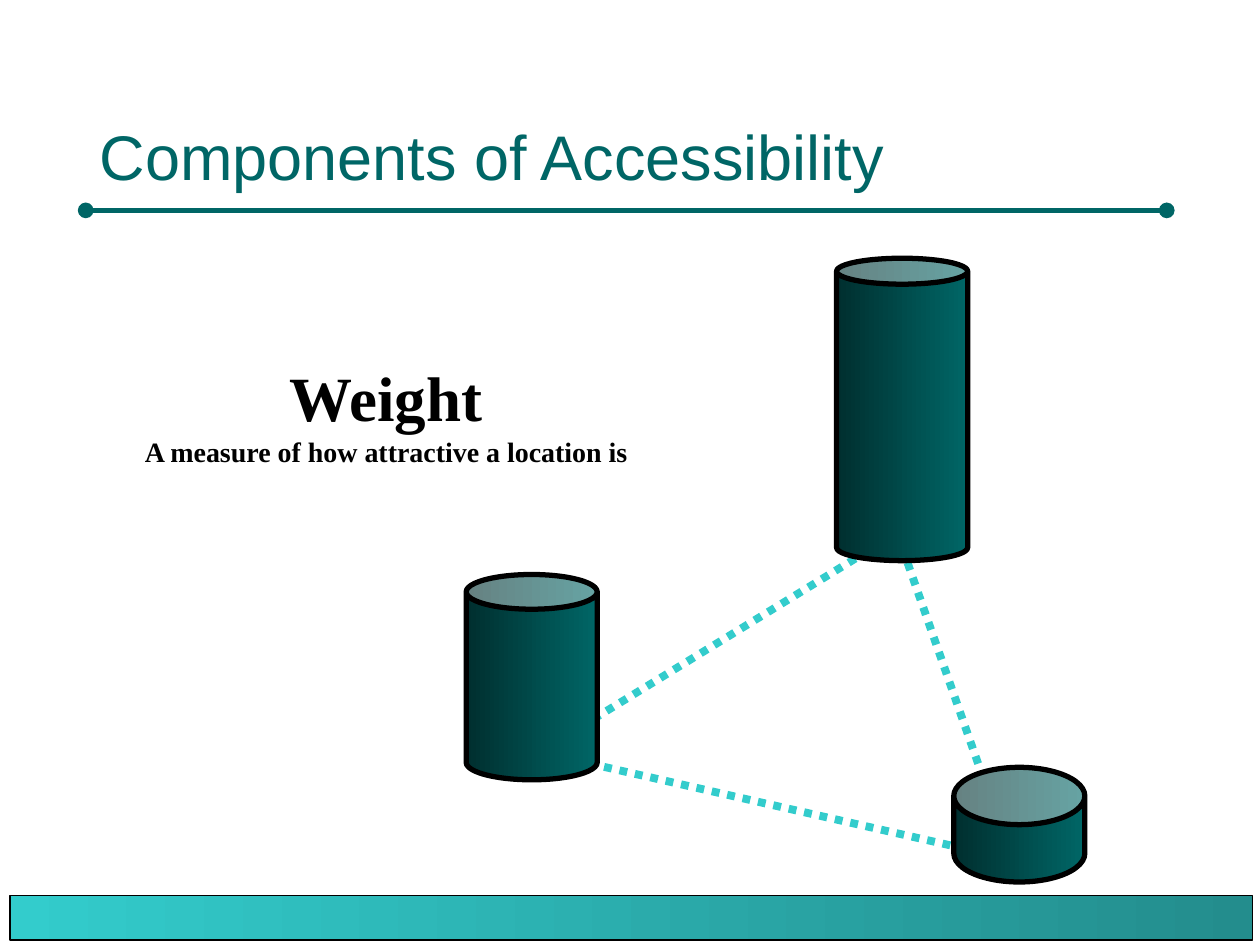
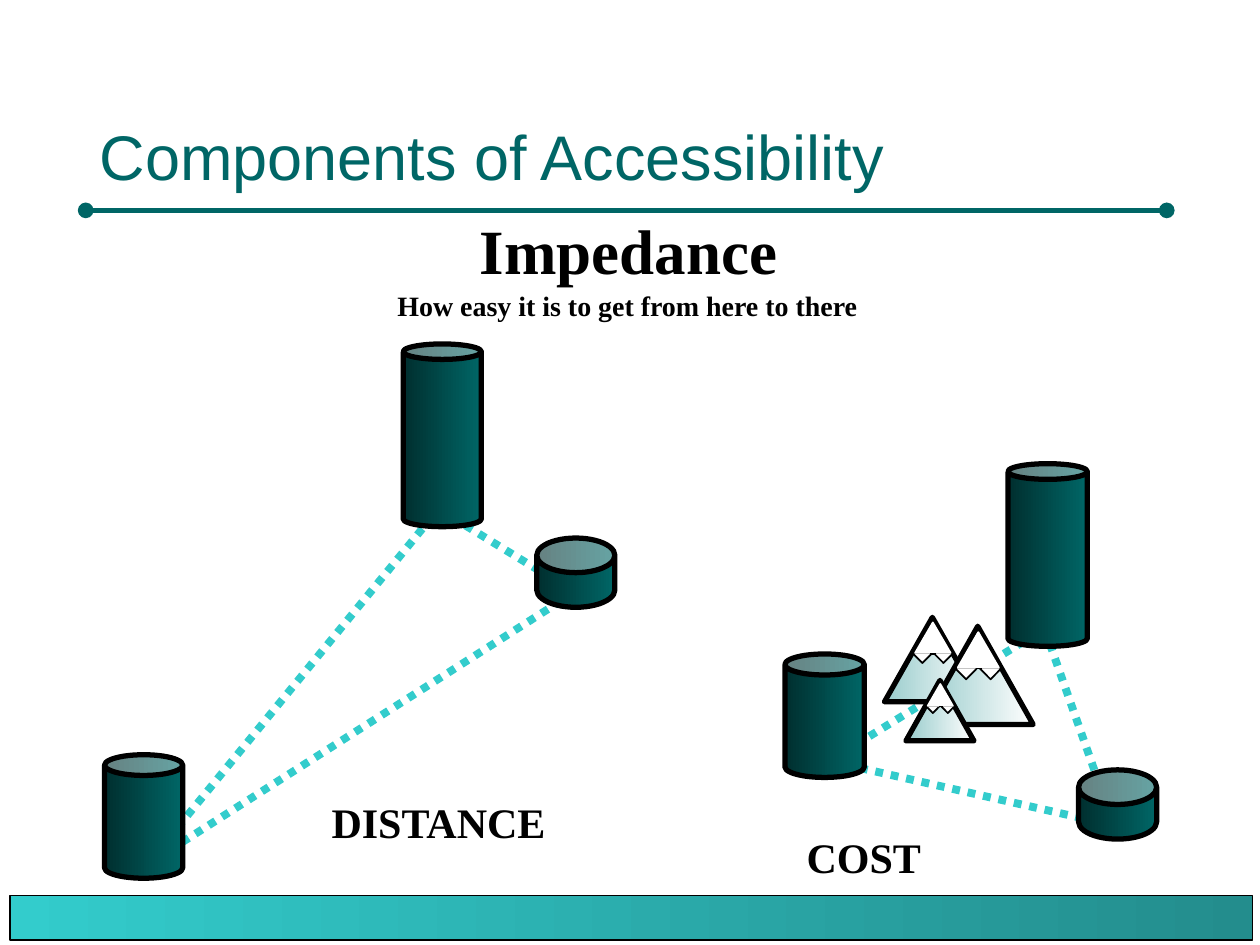
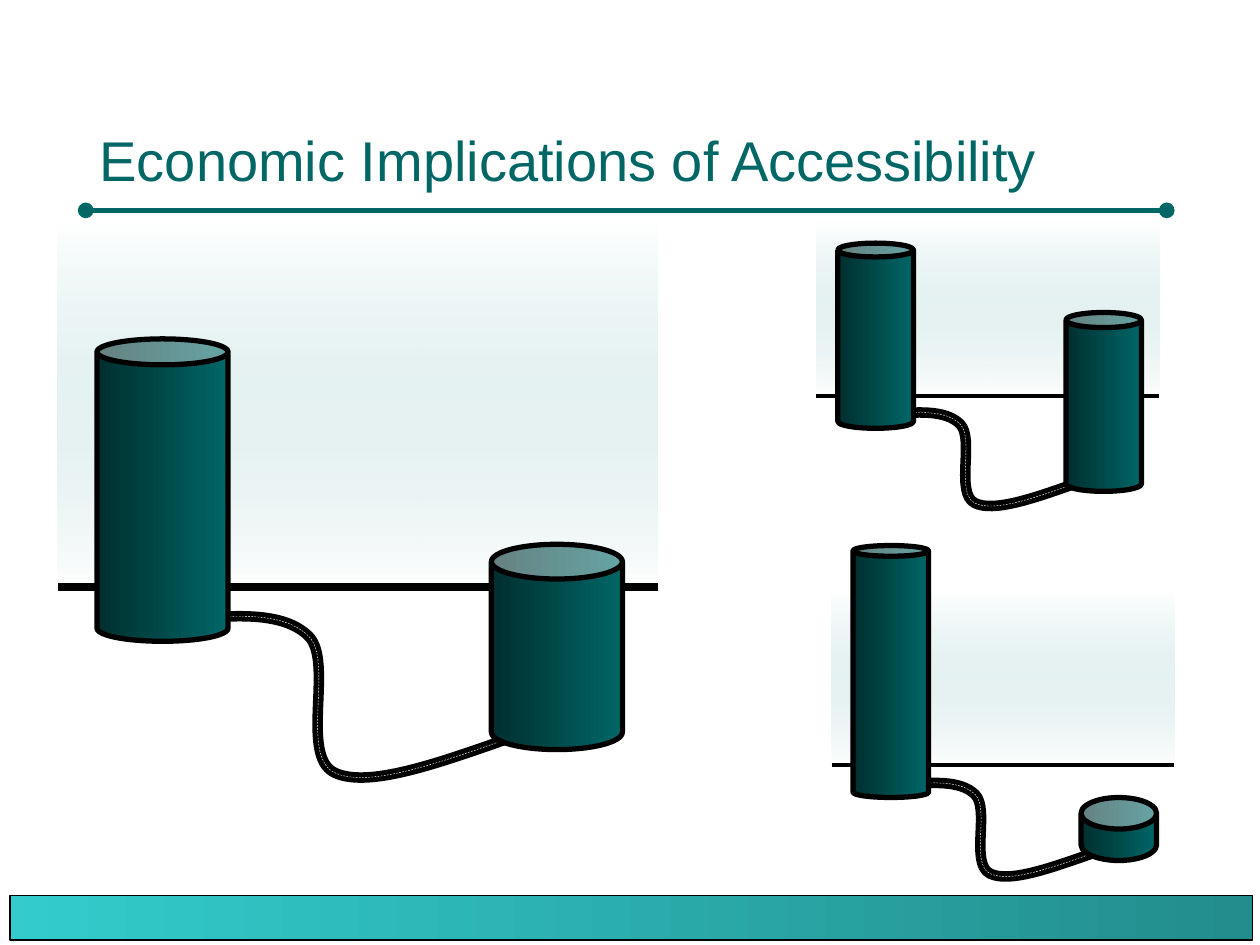
from lxml.etree import SubElement
from pptx import Presentation
from pptx.dml.color import RGBColor
from pptx.enum.dml import MSO_LINE
from pptx.enum.shapes import MSO_CONNECTOR, MSO_SHAPE
from pptx.enum.text import MSO_ANCHOR, MSO_AUTO_SIZE, PP_ALIGN
from pptx.oxml.ns import qn
from pptx.util import Inches, Pt

COLORS = {
    "teal": "006666",
    "deep": "002F2F",
    "aqua": "33CCCC",
    "band": "238D8D",
    "mist": "99CCCC",
    "snow": "FEFEFE",
    "white": "FFFFFF",
    "black": "000000",
}
CAN_FILL = ("teal", "deep", 180)
BAND_FILL = ("band", "aqua", 180)
ROCK_FILL = ("snow", "mist", 180)
SKY_FILL = ("mist", "snow", 270)
TITLE_FORMAT = {"name": "Arial", "bold": False}
LABEL_FORMAT = {"name": "Times New Roman", "bold": True}


def draw_shape(page, kind, place, fill, line, width):
    shape = page.shapes.add_shape(kind, *map(Inches, place))
    shape.shadow.inherit = False
    if isinstance(fill, tuple):
        shape.fill.gradient()
        shape.fill.gradient_angle = fill[2]
        for stop, color in zip(shape.fill.gradient_stops, fill):
            stop.color.rgb = RGBColor.from_string(COLORS[color])
    else:
        shape.fill.solid()
        shape.fill.fore_color.rgb = RGBColor.from_string(COLORS[fill])
    if line:
        shape.line.color.rgb = RGBColor.from_string(COLORS[line])
        shape.line.width = Pt(width)
    else:
        shape.line.fill.background()
    return shape


def draw_line(page, start, end, color, width, dash=None):
    connector = page.shapes.add_connector(
        MSO_CONNECTOR.STRAIGHT, *map(Inches, (*start, *end)))
    connector.line.color.rgb = RGBColor.from_string(COLORS[color])
    connector.line.width = Pt(width)
    connector.line.dash_style = dash
    SubElement(connector.element.spPr, qn("a:effectLst"))
    return connector


deck = Presentation()
deck.slide_width = Inches(10)
deck.slide_height = Inches(7.5)
layout = deck.slide_layouts[5]

title_place = {"left": 0.69, "top": 0.33, "width": 8.58, "height": 1.25}
for name, value in title_place.items():
    setattr(layout.placeholders[0], name, Inches(value))

titles = [
    ("Components of Accessibility", 36),
    ("Components of Accessibility", 36),
    ("Economic Implications of Accessibility", 32),
]
for text, size in titles:
    page = deck.slides.add_slide(layout)
    frame = page.shapes.title.text_frame
    frame.vertical_anchor = MSO_ANCHOR.BOTTOM
    frame.auto_size = MSO_AUTO_SIZE.NONE
    para = frame.paragraphs[0]
    para.alignment = PP_ALIGN.LEFT
    span = para.add_run()
    span.text = text
    span.font.size = Pt(size)
    span.font.color.rgb = RGBColor.from_string(COLORS["teal"])
    for name, value in TITLE_FORMAT.items():
        setattr(span.font, name, value)

weight_page, impedance_page, economy_page = deck.slides

rule = draw_line(weight_page, (0.68, 1.67), (9.26, 1.67), "teal", 3)
for end in ("a:headEnd", "a:tailEnd"):
    SubElement(rule.line._get_or_add_ln(), qn(end), type="oval")
band = draw_shape(weight_page, MSO_SHAPE.RECTANGLE, (0.08, 7.11, 9.86, 0.35),
                  BAND_FILL, "black", 0.75)
for shared in (rule, band):
    layout.shapes.element.append(shared.element)

networks = [
    (weight_page, [(4.28, 5.97), (7.12, 4.23), (8.03, 6.82)]),
    (impedance_page, [(6.58, 6.04), (8.29, 4.99), (8.84, 6.55)]),
    (impedance_page, [(1.17, 6.86), (3.48, 4.04), (4.56, 4.7)]),
]
for page, towns in networks:
    for start, end in zip(towns, towns[1:] + towns[:1]):
        draw_line(page, start, end, "aqua", 4.5, MSO_LINE.ROUND_DOT)

road_points = [
    (0, 0.07), (0.4, 0.03), (0.8, 0), (1, 0.2), (1.2, 0.4),
    (0.93, 1.14), (1.2, 1.28), (1.46, 1.41), (2.02, 1.21), (2.59, 1.01),
]
landscapes = [
    ((0.46, 1.77, 4.76, 2.89), 4.5, (1.45, 4.85), 1),
    ((6.48, 1.77, 2.72, 1.37), 2.25, (7.04, 3.25), 0.58),
    ((6.6, 4.7, 2.72, 1.37), 2.25, (7.16, 6.19), 0.58),
]
for sky_place, ground_width, (road_left, road_top), scale in landscapes:
    sky = draw_shape(economy_page, MSO_SHAPE.RECTANGLE, sky_place, SKY_FILL, None, 0)
    SubElement(sky.element.find(".//" + qn("a:srgbClr")), qn("a:alpha"), val="0")
    left, top, width, height = sky_place
    horizon = top + height
    draw_line(economy_page, (left, horizon), (left + width, horizon),
              "black", ground_width)
    points = [(Inches(road_left + x * scale), Inches(road_top + y * scale))
              for x, y in road_points]
    for color, width, dash in (("black", 6, None), ("white", 0.25, MSO_LINE.DASH)):
        builder = economy_page.shapes.build_freeform(*points[0])
        builder.add_line_segments(points[1:], close=False)
        road = builder.convert_to_shape()
        road.shadow.inherit = False
        road.fill.background()
        road.line.color.rgb = RGBColor.from_string(COLORS[color])
        road.line.width = Pt(width)
        road.line.dash_style = dash
        outline = road.element.find(".//" + qn("a:path"))
        segments = outline.findall(qn("a:lnTo"))
        for first in range(0, len(segments), 3):
            curve = SubElement(outline, qn("a:cubicBezTo"))
            for segment in segments[first:first + 3]:
                curve.append(segment[0])
                outline.remove(segment)

cans = [
    (weight_page, (6.64, 2.05, 1.04, 2.4), 0.198),
    (weight_page, (3.7, 4.56, 1.04, 1.63), 0.265),
    (weight_page, (7.57, 6.09, 1.04, 0.91), 0.5),
    (impedance_page, (8, 3.68, 0.63, 1.45), 0.198),
    (impedance_page, (6.23, 5.19, 0.63, 0.98), 0.265),
    (impedance_page, (8.56, 6.11, 0.62, 0.55), 0.5),
    (impedance_page, (3.2, 2.73, 0.62, 1.45), 0.198),
    (impedance_page, (0.83, 5.99, 0.62, 0.98), 0.265),
    (impedance_page, (4.26, 4.27, 0.62, 0.55), 0.5),
    (economy_page, (0.77, 2.69, 1.04, 2.4), 0.198),
    (economy_page, (3.9, 4.32, 1.04, 1.63), 0.265),
    (economy_page, (6.65, 1.93, 0.6, 1.47), 0.183),
    (economy_page, (8.46, 2.48, 0.6, 1.42), 0.2),
    (economy_page, (6.77, 4.33, 0.6, 2), 0.142),
    (economy_page, (8.58, 6.33, 0.6, 0.5), 0.5),
]
for page, place, lid in cans:
    can = draw_shape(page, MSO_SHAPE.CAN, place, CAN_FILL, "black", 3)
    can.adjustments[0] = lid

mountains = [
    (7.02, 4.9, 0.76, 0.67),
    (7.32, 4.97, 0.88, 0.78),
    (7.19, 5.4, 0.54, 0.48),
]
snow_parts = [
    ((0.29, 0.42, 0.21, 0.12), 180, "black"),
    ((0.51, 0.42, 0.21, 0.12), 180, "black"),
    ((0.32, 0.06, 0.37, 0.36), 0, "white"),
]
for mountain in mountains:
    left, top, width, height = mountain
    draw_shape(impedance_page, MSO_SHAPE.ISOSCELES_TRIANGLE, mountain,
               ROCK_FILL, "black", 3)
    for (x, y, w, h), turn, line in snow_parts:
        place = (left + x * width, top + y * height, w * width, h * height)
        snow = draw_shape(impedance_page, MSO_SHAPE.ISOSCELES_TRIANGLE, place,
                          "white", line, 1)
        snow.rotation = turn
    notch = top + 0.43 * height
    draw_line(impedance_page, (left + 0.48 * width, notch),
              (left + 0.54 * width, notch), "black", 1)

labels = [
    (weight_page, "A measure of how attractive a location is", 16, (1.04, 3.4, 4.05, 0.37)),
    (weight_page, "Weight", 36, (2.19, 2.8, 1.75, 0.7)),
    (impedance_page, "DISTANCE", 24, (2.52, 6.27, 1.92, 0.5)),
    (impedance_page, "COST", 24, (6.3, 6.55, 1.11, 0.5)),
    (impedance_page, "How easy it is to get from here to there", 16, (3.05, 2.24, 3.86, 0.37)),
    (impedance_page, "Impedance", 36, (3.71, 1.63, 2.56, 0.7)),
]
for page, text, size, place in labels:
    box = page.shapes.add_textbox(*map(Inches, place))
    box.text_frame.word_wrap = False
    box.text_frame.auto_size = MSO_AUTO_SIZE.SHAPE_TO_FIT_TEXT
    para = box.text_frame.paragraphs[0]
    para.alignment = PP_ALIGN.CENTER
    span = para.add_run()
    span.text = text
    span.font.size = Pt(size)
    span.font.color.rgb = RGBColor.from_string(COLORS["black"])
    for name, value in LABEL_FORMAT.items():
        setattr(span.font, name, value)

deck.save("out.pptx")
